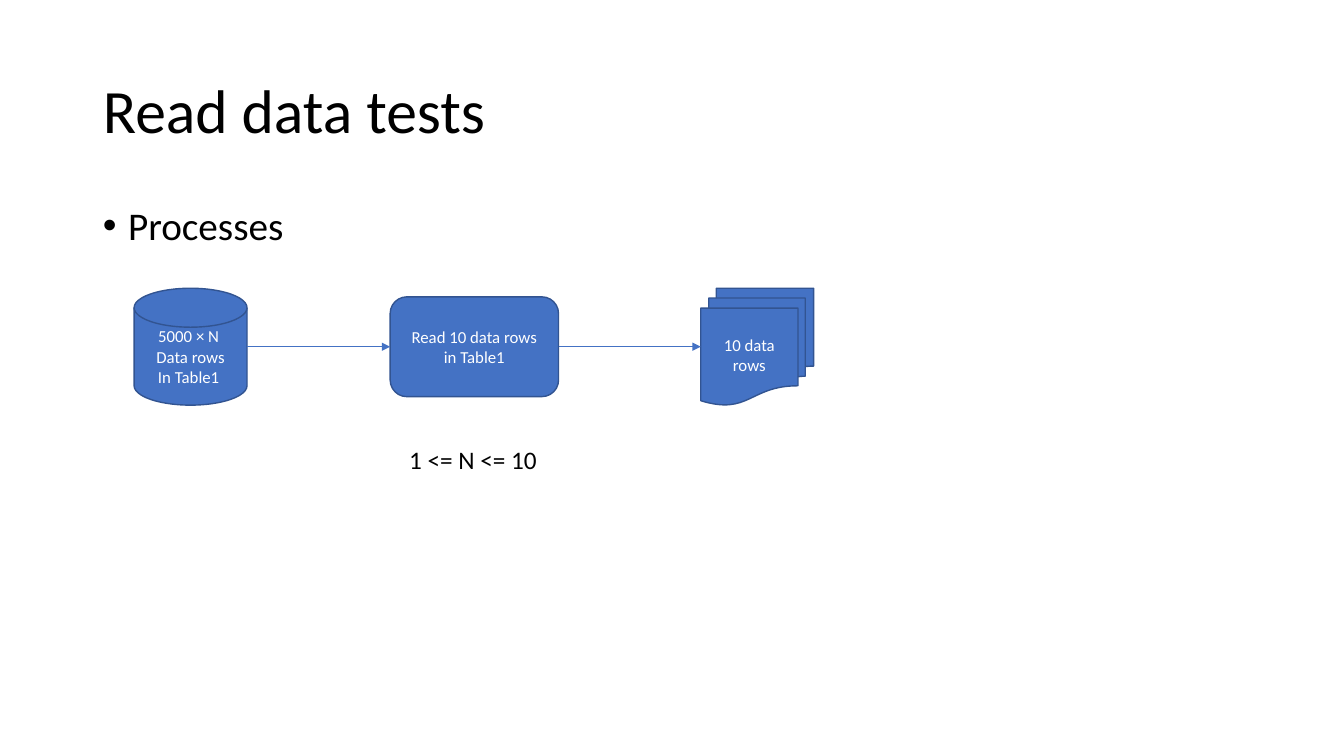
from dataclasses import dataclass

from pptx import Presentation
from pptx.dml.color import RGBColor
from pptx.enum.shapes import MSO_CONNECTOR as Connector
from pptx.enum.shapes import MSO_SHAPE as Preset
from pptx.enum.text import MSO_ANCHOR as Anchor
from pptx.enum.text import MSO_AUTO_SIZE as AutoSize
from pptx.enum.text import PP_ALIGN as Align
from pptx.oxml.ns import qn
from pptx.shapes.autoshape import Shape
from pptx.slide import Slide
from pptx.text.text import TextFrame
from pptx.util import Inches, Pt
from lxml.etree import SubElement


@dataclass(frozen=True)
class Theme:
    font: str = "Calibri"
    ink: RGBColor = RGBColor(0, 0, 0)
    paper: RGBColor = RGBColor(255, 255, 255)
    accent: RGBColor = RGBColor.from_string("4472C4")
    outline: RGBColor = RGBColor.from_string("325491")
    title_size: int = 44
    body_size: int = 28
    note_size: int = 18
    step_size: int = 12


@dataclass(frozen=True)
class Step:
    preset: Preset
    left: float
    width: float
    height: float
    lines: tuple[str, ...]


THEME = Theme()
FLOW_CENTER = 3.44
LEFT_SITE, RIGHT_SITE = 1, 3
STEPS = (
    Step(Preset.FLOWCHART_MAGNETIC_DISK, 1.33, 1.12, 1.16,
         ("5000 × N ", "Data rows", "In Table1 ")),
    Step(Preset.ROUNDED_RECTANGLE, 3.87, 1.67, 0.99,
         ("Read 10 data rows in Table1",)),
    Step(Preset.FLOWCHART_MULTIDOCUMENT, 6.95, 1.12, 1.16,
         ("10 data rows",)),
)


def write(frame: TextFrame, lines: tuple[str, ...], size: int,
          color: RGBColor, align: Align = Align.LEFT) -> None:
    frame.word_wrap = True
    frame.text = "\n".join(lines)
    for paragraph in frame.paragraphs:
        paragraph.alignment = align
        paragraph.font.name = THEME.font
        paragraph.font.size = Pt(size)
        paragraph.font.color.rgb = color


def place(shape: Shape, left: float, top: float, width: float, height: float) -> None:
    shape.left, shape.top = Inches(left), Inches(top)
    shape.width, shape.height = Inches(width), Inches(height)


def fill_placeholders(slide: Slide) -> None:
    title, body = slide.shapes.title, slide.placeholders[1]
    place(title, 0.92, 0.4, 11.5, 1.45)
    write(title.text_frame, ("Read data tests",), THEME.title_size, THEME.ink)
    title.text_frame.vertical_anchor = Anchor.MIDDLE
    title.text_frame.paragraphs[0].line_spacing = 0.9

    place(body, 0.92, 2, 11.5, 4.76)
    write(body.text_frame, ("Processes",), THEME.body_size, THEME.ink)
    processes = body.text_frame.paragraphs[0]
    processes.line_spacing = 0.9
    processes.space_before = Pt(10)
    properties = processes._p.get_or_add_pPr()
    properties.set("marL", str(Inches(0.25)))
    properties.set("indent", str(Inches(-0.25)))
    SubElement(properties, qn("a:buFont"), typeface="Arial")
    SubElement(properties, qn("a:buChar"), char="•")


def draw_step(slide: Slide, step: Step) -> Shape:
    shape = slide.shapes.add_shape(
        step.preset, Inches(step.left), Inches(FLOW_CENTER - step.height / 2),
        Inches(step.width), Inches(step.height))
    shape.shadow.inherit = False
    shape.fill.solid()
    shape.fill.fore_color.rgb = THEME.accent
    shape.line.color.rgb = THEME.outline
    shape.line.width = Pt(1)
    write(shape.text_frame, step.lines, THEME.step_size, THEME.paper, Align.CENTER)
    shape.text_frame.vertical_anchor = Anchor.MIDDLE
    return shape


def draw_arrow(slide: Slide, source: Shape, target: Shape) -> None:
    center = Inches(FLOW_CENTER)
    arrow = slide.shapes.add_connector(
        Connector.STRAIGHT, source.left + source.width, center, target.left, center)
    if source.auto_shape_type == Preset.ROUNDED_RECTANGLE:
        arrow.begin_connect(source, RIGHT_SITE)
    arrow.end_connect(target, LEFT_SITE)
    arrow.line.color.rgb = THEME.accent
    arrow.line.width = Pt(0.5)
    SubElement(arrow.line._get_or_add_ln(), qn("a:tailEnd"), type="triangle")
    SubElement(arrow._element.spPr, qn("a:effectLst"))


def draw_range_note(slide: Slide) -> None:
    note = slide.shapes.add_textbox(
        Inches(3.96), Inches(4.36), Inches(1.49), Inches(0.4))
    write(note.text_frame, ("1 <= N <= 10",), THEME.note_size, THEME.ink)
    note.text_frame.auto_size = AutoSize.SHAPE_TO_FIT_TEXT


def main() -> None:
    deck = Presentation()
    deck.slide_width, deck.slide_height = Inches(13.33), Inches(7.5)
    slide = deck.slides.add_slide(deck.slide_layouts[1])
    fill_placeholders(slide)
    stages = [draw_step(slide, step) for step in STEPS]
    for source, target in zip(stages, stages[1:]):
        draw_arrow(slide, source, target)
    draw_range_note(slide)
    deck.save("out.pptx")


if __name__ == "__main__":
    main()
